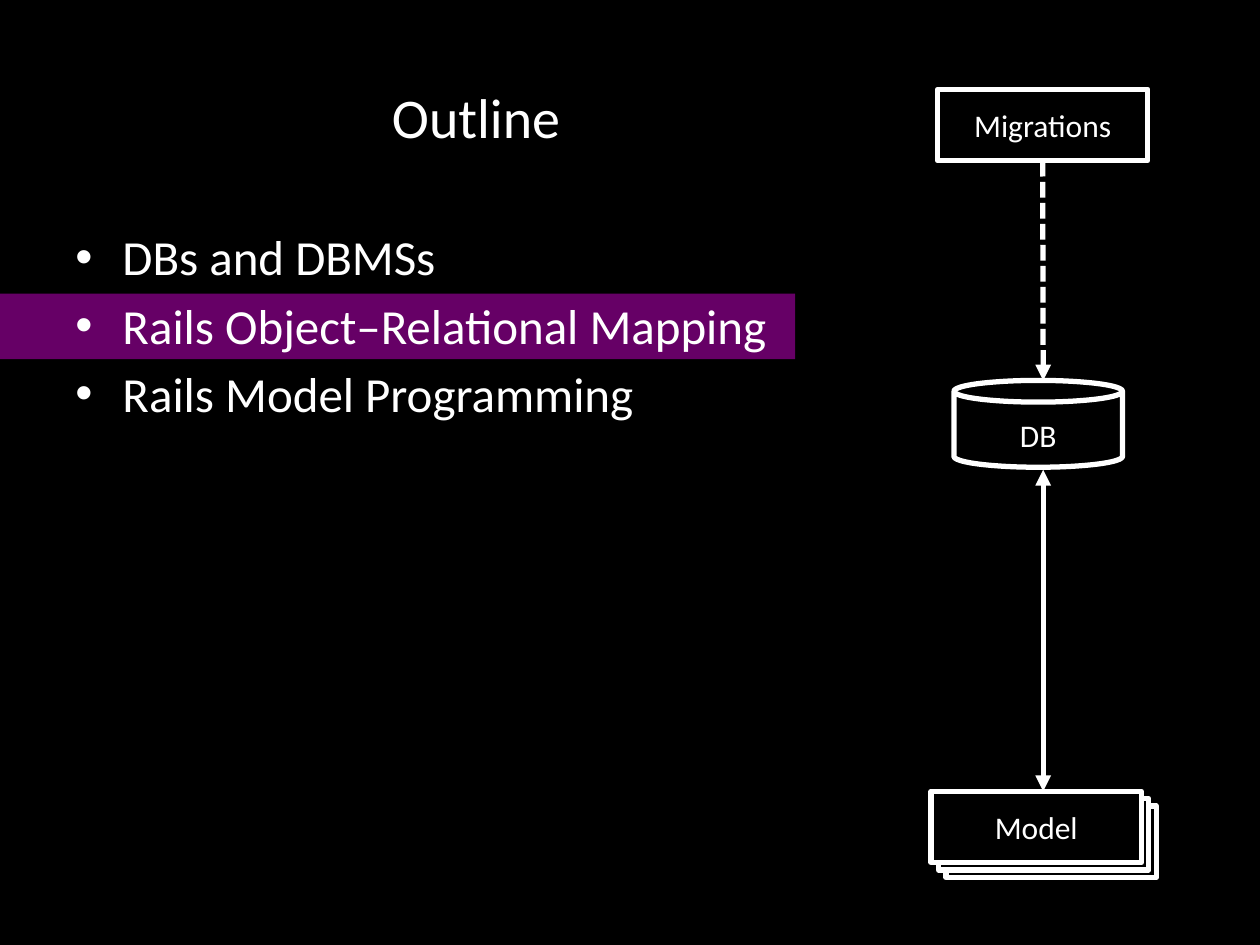
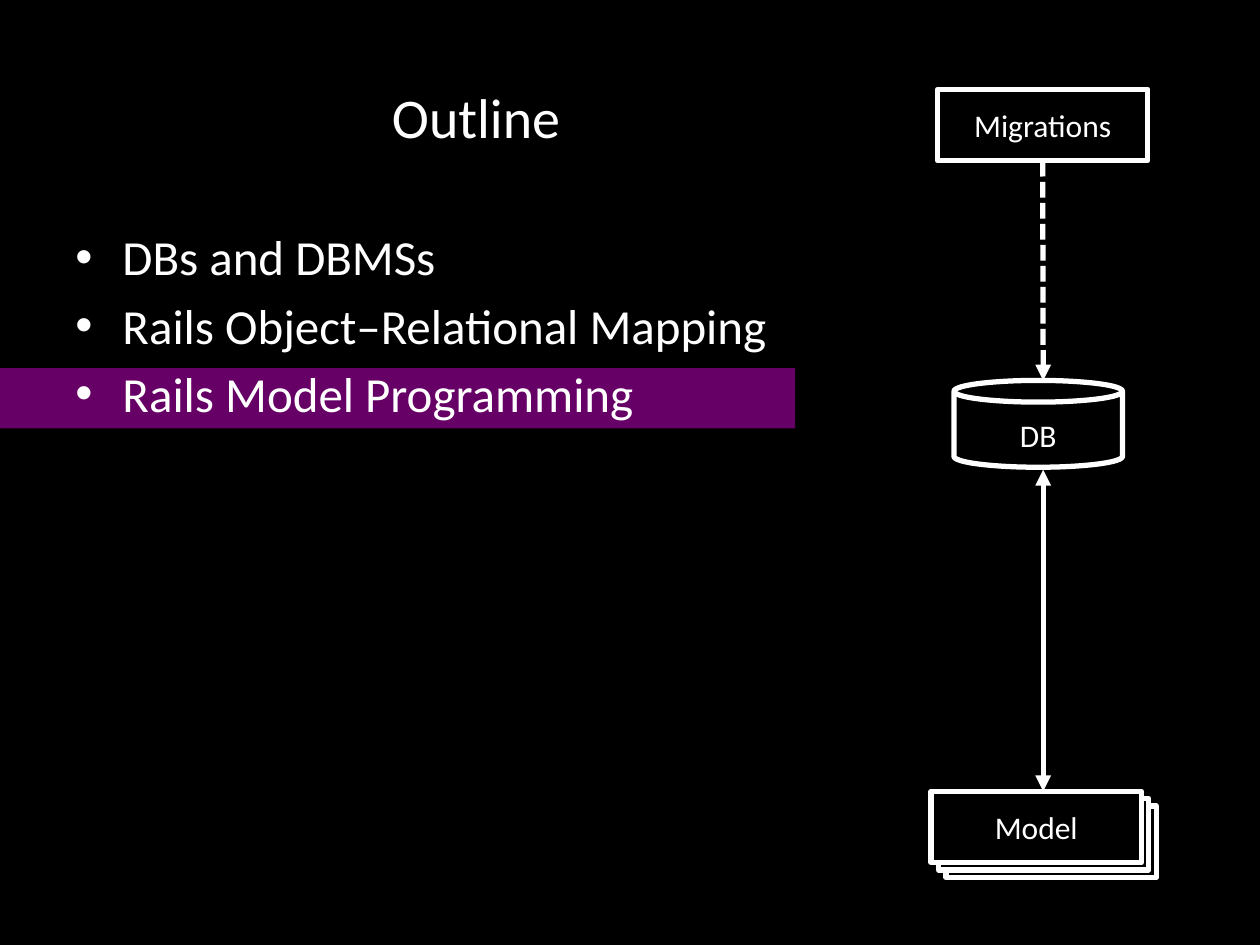
import pptx
import pptx.dml.color
import pptx.enum.dml
import pptx.enum.shapes
import pptx.enum.text
import pptx.oxml
import pptx.oxml.ns
import pptx.util

Cm, Pt = pptx.util.Cm, pptx.util.Pt
MSO = pptx.enum.shapes.MSO_SHAPE
ALIGN = pptx.enum.text.PP_ALIGN
ANCHOR = pptx.enum.text.MSO_ANCHOR
DASH = pptx.enum.dml.MSO_LINE

BLACK, WHITE, PURPLE = "000000", "FFFFFF", "660066"
FONT = "Calibri"
TITLE = "Outline"
TOPICS = ["DBs and DBMSs", "Rails Object–Relational Mapping", "Rails Model Programming"]

# One highlight band per slide: top and height in cm
HIGHLIGHTS = [(5.92, 1.32), (7.42, 1.22)]
BAND_W = 16.03

# Diagram measures in cm
BOX_W, BOX_H = 4.24, 1.44
MIGRATIONS = (18.9, 1.8, BOX_W, BOX_H)
DB = (19.23, 7.67, 3.4, 1.75)
MODEL_X, MODEL_Y = 18.77, 15.95
STACK_COUNT, STACK_STEP = 3, 0.15
ARROW_X = 21.03
DB_GAP = 0.05


def rgb(value):
    return pptx.dml.color.RGBColor.from_string(value)


def add_xml(parent, tag, **attrs):
    child = pptx.oxml.parse_xml(f"<a:{tag} {pptx.oxml.ns.nsdecls('a')}/>")
    for name, value in attrs.items():
        child.set(name, value)
    parent.append(child)


def write(p, text, size, **formats):
    for name, value in formats.items():
        setattr(p, name, value)
    r = p.add_run()
    r.text = text
    for name, value in {"name": FONT, "size": Pt(size)}.items():
        setattr(r.font, name, value)
    r.font.color.rgb = rgb(WHITE)


def add_shape(s, kind, box, fill=None, outlined=True, label=None):
    sp = s.shapes.add_shape(kind, *map(Cm, box))
    sp.shadow.inherit = False
    if fill:
        sp.fill.solid()
        sp.fill.fore_color.rgb = rgb(fill)
    else:
        sp.fill.background()
    if outlined:
        sp.line.color.rgb = rgb(WHITE)
        sp.line.width = Pt(3)
    else:
        sp.line.fill.background()
    if label:
        sp.text_frame.word_wrap = False
        write(sp.text_frame.paragraphs[0], label, 18, alignment=ALIGN.CENTER)
    return sp


def add_arrow(s, top, bottom, ends, dash=None):
    """Vertical arrow; ends lists headEnd (top) and/or tailEnd (bottom)."""
    cx = s.shapes.add_connector(pptx.enum.shapes.MSO_CONNECTOR.STRAIGHT,
                                Cm(ARROW_X), Cm(top), Cm(ARROW_X), Cm(bottom))
    cx.line.color.rgb = rgb(WHITE)
    cx.line.width = Pt(3)
    if dash:
        cx.line.dash_style = dash
    for end in ends:
        add_xml(cx.line._get_or_add_ln(), end, type="triangle")
    add_xml(cx._element.spPr, "effectLst")
    return cx


def add_text_frame(s, box, anchor):
    tf = s.shapes.add_textbox(*map(Cm, box)).text_frame
    for name, value in {"word_wrap": True, "vertical_anchor": anchor}.items():
        setattr(tf, name, value)
    return tf


def add_diagram(s):
    for i in reversed(range(STACK_COUNT)):
        shift = i * STACK_STEP
        add_shape(s, MSO.RECTANGLE, (MODEL_X + shift, MODEL_Y + shift, BOX_W, BOX_H),
                  BLACK, label=None if i else "Model")
    db = add_shape(s, MSO.CAN, DB, label="DB")
    db.text_frame.margin_top = Cm(0.35)
    migrations = add_shape(s, MSO.RECTANGLE, MIGRATIONS, BLACK, label="Migrations")

    db_top, db_bottom = DB[1], DB[1] + DB[3]
    add_arrow(s, db_bottom + DB_GAP, MODEL_Y, ["headEnd", "tailEnd"])
    migrate = add_arrow(s, MIGRATIONS[1] + BOX_H, db_top, ["tailEnd"], DASH.SQUARE_DOT)
    migrate.begin_connect(migrations, 2)


def add_topics(s):
    tf = add_text_frame(s, (1.27, 4.45, 16.74, 12.57), ANCHOR.TOP)
    for i, topic in enumerate(TOPICS):
        p = tf.add_paragraph() if i else tf.paragraphs[0]
        write(p, topic, 28, space_before=Pt(5.3))
        pPr = p._p.get_or_add_pPr()
        indent = Cm(0.95)
        pPr.set("marL", str(indent))
        pPr.set("indent", str(-indent))
        add_xml(pPr, "buFont", typeface="Arial")
        add_xml(pPr, "buChar", char="•")


def add_outline_slide(prs, band_top, band_h):
    s = prs.slides.add_slide(prs.slide_layouts[6])
    s.background.fill.solid()
    s.background.fill.fore_color.rgb = rgb(BLACK)
    add_shape(s, MSO.RECTANGLE, (0, band_top, BAND_W, band_h), PURPLE, outlined=False)
    add_diagram(s)
    add_topics(s)
    tf = add_text_frame(s, (1.27, 0.76, 16.66, 3.18), ANCHOR.MIDDLE)
    write(tf.paragraphs[0], TITLE, 32, alignment=ALIGN.CENTER)


def main():
    prs = pptx.Presentation()
    prs.slide_width, prs.slide_height = Cm(25.4), Cm(19.05)
    for band in HIGHLIGHTS:
        add_outline_slide(prs, *band)
    prs.save("out.pptx")


if __name__ == "__main__":
    main()
